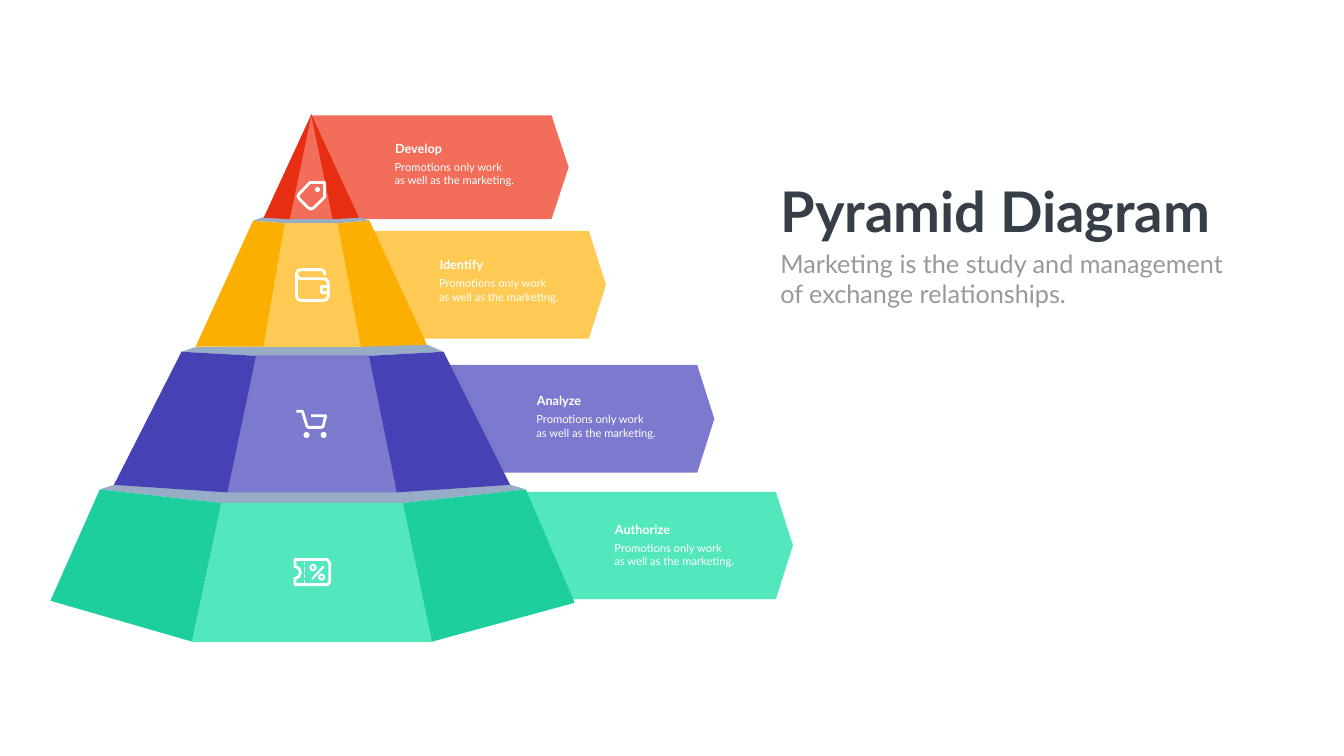
from pptx import Presentation
from pptx.dml.color import RGBColor
from pptx.enum.shapes import MSO_CONNECTOR, MSO_SHAPE
from pptx.enum.text import MSO_ANCHOR, MSO_AUTO_SIZE, PP_ALIGN
from pptx.oxml import parse_xml
from pptx.oxml.ns import nsdecls
from pptx.util import Pt

PX = 9144  # 100 px to the inch
HUES = {
    "white": "FEFFFF", "ink": "363E48", "grey": "989998", "ledge": "97ACC7",
    "red": "F26E5B", "dark red": "E72D12", "gold": "FECA53", "dark gold": "FBAF01",
    "blue": "7D79CF", "dark blue": "4641B5", "green": "53E7BE", "dark green": "1DCF9D",
}

# Content
TITLE = "Pyramid Diagram"
LEAD = ["Marketing is the study and management", "of exchange relationships."]
NOTE = ["Promotions only work", "as well as the marketing."]

# Banners: label, hue, (left, top, right, bottom), label corner
ROWS = [
    ("Develop", "red", (617, 229, 1128, 435), (774, 274)),
    ("Identify", "gold", (673, 458, 1202, 672), (862, 505)),
    ("Analyze", "blue", (889, 724, 1417, 938), (1055, 775)),
    ("Authorize", "green", (1043, 976, 1573, 1189), (1210, 1030)),
]
TIP = 34

# Pyramid: ledges, then the faces of each tier
FACES = [
    ("ledge", [(522, 431), (502, 438), (564, 443), (670, 443), (733, 438), (712, 431)]),
    ("ledge", [(387, 689), (359, 698), (506, 706), (732, 706), (880, 698), (847, 684)]),
    ("ledge", [(198, 971), (226, 962), (1013, 962), (1043, 971), (799, 998), (439, 998)]),
    ("red", [(617, 226), (575, 435), (660, 435)]),
    ("dark red", [(617, 226), (660, 435), (712, 432)]),
    ("dark red", [(618, 226), (575, 435), (523, 432)]),
    ("gold", [(565, 443), (523, 689), (717, 689), (670, 443)]),
    ("dark gold", [(670, 443), (733, 438), (847, 684), (716, 688)]),
    ("dark gold", [(565, 443), (502, 438), (388, 688), (523, 688)]),
    ("blue", [(508, 705), (733, 705), (787, 977), (450, 977)]),
    ("dark blue", [(732, 706), (880, 698), (1012, 962), (787, 977)]),
    ("dark blue", [(508, 706), (360, 698), (226, 962), (451, 977)]),
    ("green", [(439, 998), (381, 1274), (858, 1274), (799, 998)]),
    ("dark green", [(799, 998), (1043, 971), (1140, 1196), (857, 1273)]),
    ("dark green", [(439, 998), (198, 971), (100, 1192), (381, 1273)]),
]

# Icons: strokes (closed, points), dots and rings (x, y, size), lines (points, width)
STROKES = [
    (True, [(615, 362), (644, 362), (644, 391), (623, 412), (617, 415), (611, 412),
            (594, 395), (591, 389), (594, 384)]),  # tag
    (False, [(644, 546), (644, 541), (642, 537), (637, 535), (597, 535), (591, 537),
             (588, 543), (591, 550), (597, 553), (642, 553), (648, 555), (651, 560),
             (651, 588), (648, 594), (642, 596), (597, 596), (591, 594), (588, 588),
             (588, 545)]),  # wallet
    (True, [(638, 568), (651, 568), (651, 580), (638, 580)]),  # wallet clasp
    (False, [(588, 816), (600, 816), (609, 846), (612, 848), (638, 848), (641, 846),
             (646, 825), (617, 825)]),  # cart
    (True, [(585, 1110), (649, 1110), (654, 1117), (654, 1155), (649, 1160), (585, 1160),
            (585, 1148), (593, 1144), (596, 1136), (593, 1128), (585, 1124)]),  # ticket
]
DOTS = [(625, 371, 10), (602, 857, 12), (636, 857, 12)]
RINGS = [(616, 1121, 10), (633, 1140, 10)]
LINES = [((619, 1149, 642, 1124), 3)] + [
    ((604, top, 604, end), 2)
    for top, end in [(1116, 1121), (1125, 1134), (1138, 1147), (1151, 1157)]
]


def hue(name):
    return RGBColor.from_string(HUES[name])


def put(item, vals):
    for key, val in vals.items():
        setattr(item, key, val)


def paint(shape, fill=None, line=None, width=4):
    shape.shadow.inherit = False
    for part, name in ((shape.fill, fill), (shape.line.fill, line)):
        if name:
            part.solid()
            part.fore_color.rgb = hue(name)
        else:
            part.background()
    if line:
        shape.line.width = Pt(width)


def trace(pts, closed=True):
    pen = shapes.build_freeform(*pts[0], scale=PX)
    pen.add_line_segments(pts[1:], close=closed)
    return pen.convert_to_shape()


def write(box, area, lines, size, name, bold=False, wrap=True):
    put(box, dict(zip(("left", "top", "width", "height"), (n * PX for n in area))))
    frame = box.text_frame
    frame.text = "\n".join(lines)
    put(frame, {"word_wrap": wrap, "auto_size": MSO_AUTO_SIZE.NONE,
                "vertical_anchor": MSO_ANCHOR.TOP})
    for para in frame.paragraphs:
        put(para, {"alignment": PP_ALIGN.LEFT, "space_before": Pt(0)})
        put(para.font, {"name": "Lato", "size": Pt(size), "bold": bold})
        para.font.color.rgb = hue(name)


deck = Presentation()
put(deck, {"slide_width": 2666 * PX, "slide_height": 1500 * PX})
slide = deck.slides.add_slide(deck.slide_layouts[0])
shapes = slide.shapes
slide.background.fill.solid()
slide.background.fill.fore_color.rgb = hue("white")

# Banners
for _, name, (left, top, right, end), _ in ROWS:
    neck = right - TIP
    paint(trace([(left, top), (neck, top), (right, (top + end) // 2),
                 (neck, end), (left, end)]), name)

# Pyramid
for name, pts in FACES:
    paint(trace(pts), name)

# Icons
for closed, pts in STROKES:
    paint(trace(pts, closed), line="white")
for group, look in ((DOTS, {"fill": "white"}), (RINGS, {"line": "white", "width": 3})):
    for x, y, size in group:
        spot = shapes.add_shape(MSO_SHAPE.OVAL, x * PX, y * PX, size * PX, size * PX)
        paint(spot, **look)
for ends, width in LINES:
    rule = shapes.add_connector(MSO_CONNECTOR.STRAIGHT, *(n * PX for n in ends))
    rule.line.color.rgb = hue("white")
    rule.line.width = Pt(width)
    rule._element.spPr.append(parse_xml(f"<a:effectLst {nsdecls('a')}/>"))

# Labels
for label, _, _, (x, y) in ROWS:
    for area, lines, size, bold in (
        ((x, y, 185, 40), [label], 18, True),
        ((x - 1, y + 39, 329, 64), NOTE, 16, False),
    ):
        write(shapes.add_textbox(0, 0, 0, 0), area, lines, size, "white", bold)

# Heading
write(shapes.title, (1538, 345, 890, 145), [TITLE], 80, "ink", True, False)
write(slide.placeholders[1], (1538, 487, 974, 131), LEAD, 36, "grey")

deck.save("out.pptx")
